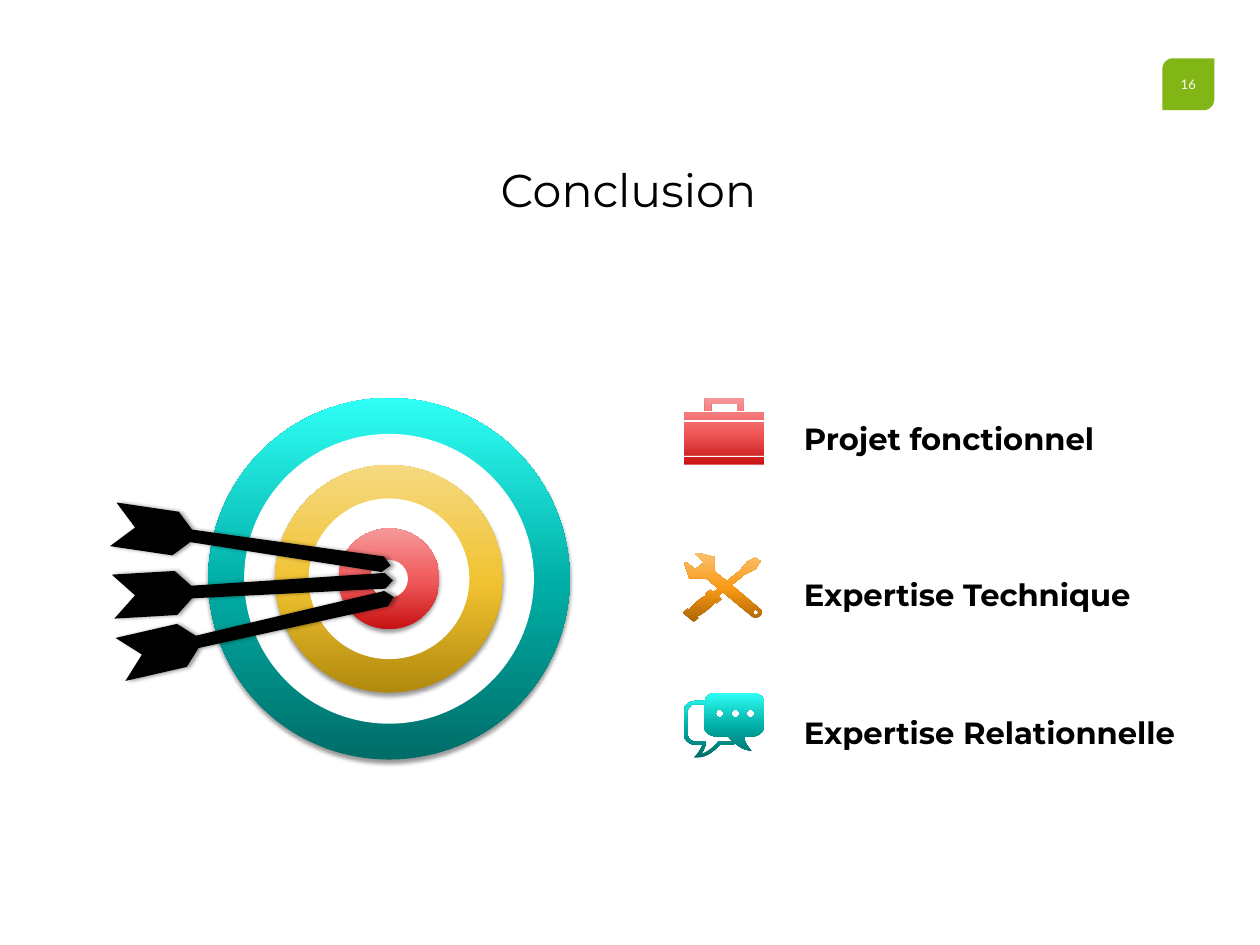
from copy import deepcopy
from math import atan2, cos, degrees, pi, sin

from lxml import etree
from pptx import Presentation
from pptx.dml.color import RGBColor
from pptx.enum.shapes import MSO_SHAPE
from pptx.enum.text import MSO_ANCHOR, MSO_AUTO_SIZE, PP_ALIGN
from pptx.oxml.ns import qn
from pptx.util import Pt

PX = 9144  # 100 px to the inch
OVAL = MSO_SHAPE.OVAL
BADGE = MSO_SHAPE.ROUND_2_DIAG_RECTANGLE
CENTER, LEFT = PP_ALIGN.CENTER, PP_ALIGN.LEFT
MIDDLE, TOP = MSO_ANCHOR.MIDDLE, MSO_ANCHOR.TOP
FIT_SHAPE = MSO_AUTO_SIZE.SHAPE_TO_FIT_TEXT

BLACK = RGBColor(0x00, 0x00, 0x00)
WHITE = RGBColor(0xFF, 0xFF, 0xFF)
GREEN = RGBColor(0x82, 0xB6, 0x17)
# Gradients run from bottom to top
TEAL = [RGBColor(0x00, 0x6D, 0x68), RGBColor(0x00, 0xAD, 0xA5), RGBColor(0x2F, 0xFF, 0xF5)]
GOLD = [RGBColor(0xB1, 0x89, 0x0D), RGBColor(0xF0, 0xC2, 0x31), RGBColor(0xF6, 0xD9, 0x80)]
RED = [RGBColor(0xC8, 0x12, 0x13), RGBColor(0xF0, 0x59, 0x5A), RGBColor(0xF6, 0x98, 0x99)]
ORANGE = [RGBColor(0xAC, 0x65, 0x04), RGBColor(0xF9, 0x99, 0x15), RGBColor(0xFB, 0xC0, 0x6E)]

presentation = Presentation()
presentation.slide_width, presentation.slide_height = 1600 * PX, 1200 * PX
slide = presentation.slides.add_slide(presentation.slide_layouts[6])


def paint(shape, fill, shadow_angle=None):
    """Fill with one colour or a list of gradient colours; optionally cast a shadow."""
    shape.line.fill.background()
    shape.shadow.inherit = False
    properties = shape._element.spPr
    if isinstance(fill, list):
        shape.fill.gradient()
        shape.fill.gradient_angle = 90
        stop_list = properties.find(".//" + qn("a:gsLst"))
        stop_list.insert(1, deepcopy(stop_list[0]))
        for stop, position, color in zip(shape.fill.gradient_stops, (0, 0.48, 1), fill):
            stop.position = position
            stop.color.rgb = color
    else:
        shape.fill.solid()
        shape.fill.fore_color.rgb = fill
    if shadow_angle is not None:
        shadow = etree.SubElement(
            properties.find(qn("a:effectLst")), qn("a:outerShdw"),
            blurRad=str(Pt(4)), dist=str(Pt(3)), dir=str(shadow_angle * 60000), rotWithShape="0")
        color = etree.SubElement(shadow, qn("a:srgbClr"), val=str(BLACK))
        etree.SubElement(color, qn("a:alpha"), val="40000")


def add_outline(contours):
    """Join points into closed contours; six numbers stand for a Bézier curve."""
    builder = None
    for contour in contours:
        points = [contour[0]]
        for step in contour[1:]:
            if len(step) == 2:
                points.append(step)
                continue
            x0, y0 = points[-1]
            x1, y1, x2, y2, x3, y3 = step
            for t in (n / 8 for n in range(1, 9)):
                weights = (1 - t) ** 3, 3 * t * (1 - t) ** 2, 3 * t * t * (1 - t), t ** 3
                points.append((sum(w * x for w, x in zip(weights, (x0, x1, x2, x3))),
                               sum(w * y for w, y in zip(weights, (y0, y1, y2, y3)))))
        points = [(x * PX, y * PX) for x, y in points]
        if builder is None:
            builder = slide.shapes.build_freeform(*points[0], scale=1.0)
        else:
            builder.move_to(*points[0])
        builder.add_line_segments(points[1:], close=True)
    return builder.convert_to_shape()


# Page number
badge = slide.shapes.add_shape(BADGE, 1476 * PX, 74 * PX, 66 * PX, 66 * PX)
badge.adjustments[0], badge.adjustments[1] = 0.207, 0
paint(badge, GREEN)

# Target rings, from the outside in
for diameter, fill in ((459, TEAL), (368, WHITE), (289, GOLD),
                       (204, WHITE), (128, RED), (48, WHITE)):
    ring = slide.shapes.add_shape(
        OVAL, (988 - diameter) * PX // 2, (1470 - diameter) * PX // 2,
        diameter * PX, diameter * PX)
    paint(ring, fill, None if fill == WHITE else 90)

# Arrows: one level profile around its centre, turned along tail notch to tip
HALF = 178
upper_edge = [(-178, -28), (-98, -28), (-78, -8), (168, -10)]
lower_edge = [(x, -y) for x, y in reversed(upper_edge)]
arrow_profile = upper_edge + [(HALF, 0)] + lower_edge + [(-150, 0)]
for notch, tip in (((172, 756), (499, 737)), ((172, 670), (496, 718)), ((181, 831), (500, 758))):
    angle = atan2(tip[1] - notch[1], tip[0] - notch[0])
    center_x, center_y = tip[0] - HALF * cos(angle), tip[1] - HALF * sin(angle)
    arrow = add_outline([[(center_x + x, center_y + y) for x, y in arrow_profile]])
    arrow.rotation = degrees(angle)
    paint(arrow, BLACK, 0)

# Briefcase icon
handle = [(944, 521), (944, 505), (895, 505), (895, 521),
          (903, 521), (903, 513), (936, 513), (936, 521)]
bands = [[(868, top), (971, top), (971, bottom), (868, bottom)]
         for top, bottom in ((524, 533), (536, 578), (581, 590))]
paint(add_outline([handle] + bands), RED)

# Tools icon
tools = [
    (965, 773), (929, 743), (945, 730), (960, 722), (966, 713), (959, 708), (949, 713),
    (939, 725), (923, 738), (907, 725), (907, 707), (885, 702), (883, 704), (894, 714),
    (883, 723), (872, 714), (869, 715), (875, 734), (896, 734), (912, 747), (906, 752),
    (902, 749), (896, 754), (898, 756), (892, 757, 877, 770, 875, 775), (873, 773),
    (867, 778), (881, 790), (887, 785), (885, 783), (891, 781, 906, 769, 908, 764),
    (910, 766), (916, 761), (912, 757), (918, 752), (954, 782),
    (957, 785, 962, 785, 965, 782), (968, 780, 968, 775, 965, 773)]
screw_hole = [(962, 780), (961, 781, 958, 781, 957, 780), (956, 779, 956, 777, 957, 776),
              (958, 774, 961, 774, 962, 776), (963, 777, 963, 779, 962, 780)]
paint(add_outline([tools, screw_hole]), ORANGE)

# Speech bubbles icon
bubbles = [
    (956, 880), (909, 880), (902, 880, 896, 884, 895, 890), (884, 890),
    (875, 890, 868, 896, 868, 904), (868, 932), (868, 939, 875, 946, 884, 946), (892, 946),
    (891, 950, 886, 957, 884, 959), (881, 962), (886, 962),
    (898, 962, 908, 952, 914, 946), (928, 946), (930, 946, 932, 945, 934, 944),
    (939, 949, 946, 953, 954, 953), (954, 953, 944, 943, 945, 935), (956, 935),
    (964, 935, 970, 929, 970, 922), (970, 892), (970, 885, 964, 880, 956, 880)]
back_bubble = [
    (928, 942), (912, 942), (911, 943), (907, 948, 899, 955, 890, 958),
    (893, 954, 896, 948, 896, 944), (896, 942), (884, 942),
    (878, 942, 873, 937, 873, 932), (873, 904), (873, 898, 878, 894, 884, 894),
    (894, 894), (894, 922), (894, 929, 901, 935, 909, 935), (925, 935),
    (926, 937, 928, 939, 931, 942), (930, 942, 929, 942, 928, 942)]
dots = [[(x + 5 * cos(n * pi / 12), 906 + 5 * sin(n * pi / 12)) for n in range(24)]
        for x in (914, 934, 953)]
paint(add_outline([bubbles, back_bubble] + dots), TEAL)

# Title, three points and the page number text
text_boxes = [
    ("Conclusion", (621, 201, 354, 79), 42, False, CENTER, (8, 4)),
    ("Projet fonctionnel", (1011, 528, 393, 57), 28, True, LEFT, (10, 5)),
    ("Expertise Technique", (1011, 726, 441, 57), 28, True, LEFT, (10, 5)),
    ("Expertise Relationnelle", (1011, 901, 495, 57), 28, True, LEFT, (10, 5)),
]
labels = [(badge, "16", CENTER, {"size": Pt(12), "name": "Lato"}, WHITE,
           {"vertical_anchor": MIDDLE})]
for text, box, size, bold, alignment, (inset_x, inset_y) in text_boxes:
    text_box = slide.shapes.add_textbox(*(length * PX for length in box))
    frame_format = {
        "margin_left": inset_x * PX, "margin_right": inset_x * PX,
        "margin_top": inset_y * PX, "margin_bottom": inset_y * PX,
        "word_wrap": False, "auto_size": FIT_SHAPE, "vertical_anchor": TOP}
    font_format = {"size": Pt(size), "name": "Montserrat", "bold": bold}
    labels.append((text_box, text, alignment, font_format, BLACK, frame_format))

for shape, text, alignment, font_format, color, frame_format in labels:
    for name, value in frame_format.items():
        setattr(shape.text_frame, name, value)
    paragraph = shape.text_frame.paragraphs[0]
    paragraph.alignment = alignment
    run = paragraph.add_run()
    run.text = text
    run.font.color.rgb = color
    for name, value in font_format.items():
        setattr(run.font, name, value)

presentation.save("out.pptx")
